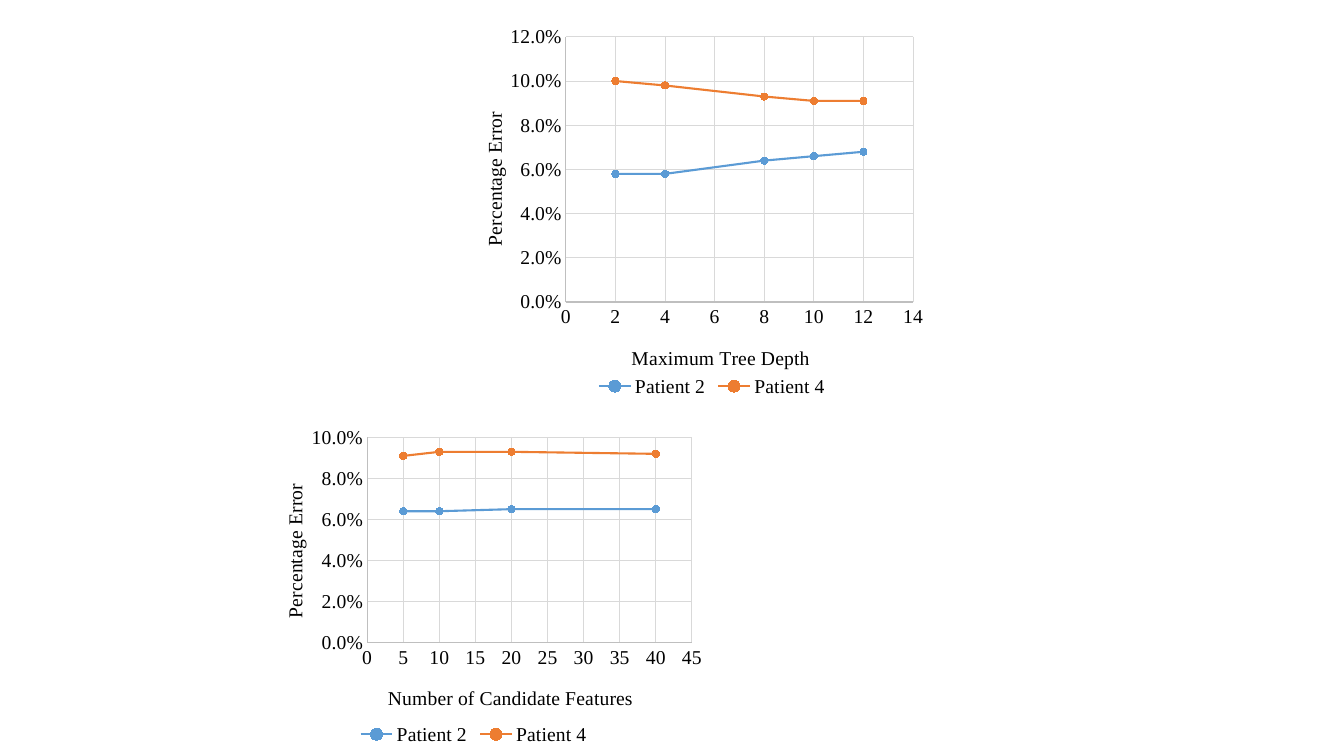
from lxml.etree import SubElement, fromstring
from pptx import Presentation
from pptx.chart.data import XyChartData
from pptx.dml.color import RGBColor
from pptx.enum.chart import (XL_CHART_TYPE, XL_LEGEND_POSITION, XL_MARKER_STYLE,
                             XL_TICK_LABEL_POSITION, XL_TICK_MARK)
from pptx.oxml.ns import nsdecls, qn
from pptx.util import Inches, Pt


def color(hex_code):
    return RGBColor.from_string(hex_code)


def place(element, index, **percents):
    """Fix a chart part at percentages of the chart's size."""
    for old in element.findall(qn("c:layout")):
        element.remove(old)
    layout = fromstring(f"<c:layout {nsdecls('c')}/>")
    manual = SubElement(layout, qn("c:manualLayout"))
    if "w" in percents:
        SubElement(manual, qn("c:layoutTarget")).set("val", "inner")
    for side in "xy":
        SubElement(manual, qn(f"c:{side}Mode")).set("val", "edge")
    for key, percent in percents.items():
        SubElement(manual, qn(f"c:{key}")).set("val", f"{percent / 100:.4f}")
    element.insert(index, layout)


class ErrorSlide:
    font_name = "Times New Roman"
    font_size = Pt(14)
    text = "000000"
    axis_line = "BFBFBF"
    grid_line = "D9D9D9"
    series_colors = ("5B9BD5", "ED7D31")

    def __init__(self, deck):
        self.page = deck.slides.add_slide(deck.slide_layouts[6])
        # The grid has 100 columns and 100 rows
        self.column = deck.slide_width / 100
        self.row = deck.slide_height / 100

    def style_font(self, font):
        font.name, font.size, font.bold = self.font_name, self.font_size, False
        font.color.rgb = color(self.text)

    def style_line(self, line, hex_code, width=0.75):
        line.color.rgb = color(hex_code)
        line.width = Pt(width)

    def style_axis(self, axis, title, position, maximum, step, number_format):
        axis.minimum_scale, axis.maximum_scale = 0, maximum
        axis.major_unit = step
        axis.major_tick_mark = axis.minor_tick_mark = XL_TICK_MARK.NONE
        axis.tick_label_position = XL_TICK_LABEL_POSITION.NEXT_TO_AXIS
        axis.tick_labels.number_format = number_format
        axis.tick_labels.number_format_is_linked = False
        self.style_font(axis.tick_labels.font)
        self.style_line(axis.format.line, self.axis_line)
        axis.has_major_gridlines = True
        self.style_line(axis.major_gridlines.format.line, self.grid_line)
        axis.has_title = True
        para = axis.axis_title.text_frame.paragraphs[0]
        para.text = title
        self.style_font(para.runs[0].font)
        place(axis.axis_title.format.line and axis.axis_title._element, 1, **position)

    def style_series(self, series, hex_code):
        series.smooth = False
        self.style_line(series.format.line, hex_code, 1.5)
        marker = series.marker
        marker.style, marker.size = XL_MARKER_STYLE.CIRCLE, 5
        marker.format.fill.solid()
        marker.format.fill.fore_color.rgb = color(hex_code)
        self.style_line(marker.format.line, hex_code)

    def scatter(self, box, patients, across, up, plot, legend):
        data = XyChartData(number_format="0.0%")
        for name, points in patients.items():
            series = data.add_series(name)
            for depth, error in points:
                series.add_data_point(depth, error)
        left, top, width, height = box
        chart = self.page.shapes.add_chart(
            XL_CHART_TYPE.XY_SCATTER_LINES,
            int(left * self.column), int(top * self.row),
            int(width * self.column), int(height * self.row), data).chart
        self.style_font(chart.font)
        chart.has_title = False
        chart.plots[0].vary_by_categories = False
        for series, hex_code in zip(chart.plots[0].series, self.series_colors):
            self.style_series(series, hex_code)
        self.style_axis(chart.category_axis, *across, "General")
        self.style_axis(chart.value_axis, *up, "0.0%")
        heading = chart.value_axis.axis_title.text_frame
        heading._txBody.find(qn("a:bodyPr")).set("rot", "-5400000")
        chart.has_legend = True
        chart.legend.position = XL_LEGEND_POSITION.BOTTOM
        chart.legend.include_in_layout = False
        self.style_font(chart.legend.font)
        place(chart.legend._element, 1, **legend)
        place(chart.plots[0]._element.getparent(), 0, **plot)


deck = Presentation()
deck.slide_width, deck.slide_height = Inches(13.33), Inches(7.5)
slide = ErrorSlide(deck)

# Error by tree depth
depths = (2, 4, 8, 10, 12)
slide.scatter(
    box=(34.88, 1.47, 34.73, 54.13),
    patients={"Patient 2": zip(depths, (0.058, 0.058, 0.064, 0.066, 0.068)),
              "Patient 4": zip(depths, (0.1, 0.098, 0.093, 0.091, 0.091))},
    across=("Maximum Tree Depth", dict(x=34.1, y=80.8), 14, 2),
    up=("Percentage Error", dict(x=2, y=23.7), 0.12, 0.02),
    plot=dict(x=20.8, y=6.3, w=74.4, h=64.8),
    legend=dict(x=26.5, y=88))

# Error by number of features
features = (5, 10, 20, 40)
slide.scatter(
    box=(18.68, 55.6, 34.28, 45.47),
    patients={"Patient 2": zip(features, (0.064, 0.064, 0.065, 0.065)),
              "Patient 4": zip(features, (0.091, 0.093, 0.093, 0.092))},
    across=("Number of Candidate Features", dict(x=28.9, y=76.2), 45, 5),
    up=("Percentage Error", dict(x=6, y=17.4), 0.1, 0.02),
    plot=dict(x=25.2, y=5, w=70.5, h=59.6),
    legend=dict(x=22.4, y=87))

deck.save("out.pptx")
